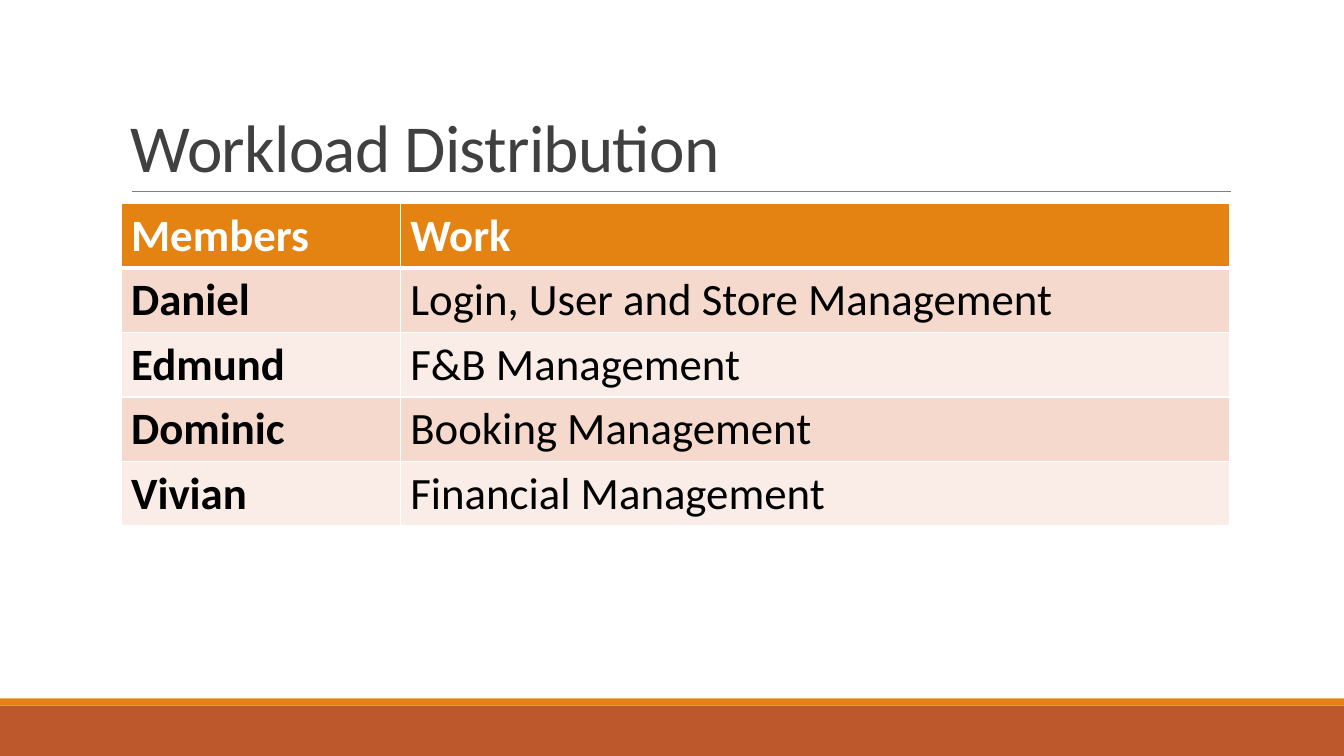
from lxml import etree
from pptx import Presentation
from pptx.dml.color import RGBColor
from pptx.enum.shapes import MSO_CONNECTOR, MSO_SHAPE
from pptx.enum.text import MSO_ANCHOR
from pptx.oxml.ns import qn
from pptx.util import Inches, Pt

TITLE = "Workload Distribution"
ROWS = [
    ("Members", "Work"),
    ("Daniel", "Login, User and Store Management"),
    ("Edmund", "F&B Management"),
    ("Dominic", "Booking Management"),
    ("Vivian", "Financial Management"),
]

WHITE = RGBColor(0xFF, 0xFF, 0xFF)
BLACK = RGBColor(0x00, 0x00, 0x00)
DARK_GREY = RGBColor(0x40, 0x40, 0x40)
RULE_GREY = RGBColor(0x80, 0x80, 0x80)
ORANGE = RGBColor(0xE4, 0x83, 0x12)
RUST = RGBColor(0xBD, 0x58, 0x2C)
BAND_FILLS = (RGBColor(0xFA, 0xED, 0xE7), RGBColor(0xF5, 0xD9, 0xCC))

RECTANGLE = MSO_SHAPE.RECTANGLE
STRAIGHT = MSO_CONNECTOR.STRAIGHT
BOTTOM = MSO_ANCHOR.BOTTOM

PAGE_WIDTH, PAGE_HEIGHT = 13.33, 7.5
LEFT, CONTENT_WIDTH = 1.2, 11
RULE_LEFT, RULE_RIGHT, RULE_TOP = 1.31, 12.21, 1.9
TITLE_TOP = 0.31
TABLE_TOP, ROW_HEIGHT = 2.02, 0.64
COLUMN_WIDTHS = (2.77, 8.23)
FOOTER_BANDS = [(0.5, 0, RUST), (0.07, 0.5, ORANGE)]  # height, gap below, colour


def write(para, text, **formats):
    span = para.add_run()
    span.text = text
    span.font.name = "Calibri"
    span.font.color.rgb = formats.pop("color")
    for name, value in formats.items():
        setattr(span.font, name, value)
    return span


def add_footer(page):
    for height, gap, color in FOOTER_BANDS:
        band = page.shapes.add_shape(
            RECTANGLE, 0, Inches(PAGE_HEIGHT - gap - height),
            Inches(PAGE_WIDTH), Inches(height))
        band.shadow.inherit = False
        band.fill.solid()
        band.fill.fore_color.rgb = color
        band.line.fill.background()


def add_title(page):
    rule = page.shapes.add_connector(
        STRAIGHT, Inches(RULE_LEFT), Inches(RULE_TOP), Inches(RULE_RIGHT), Inches(RULE_TOP))
    rule.line.color.rgb = RULE_GREY
    rule.line.width = Pt(0.5)
    etree.SubElement(rule._element.spPr, qn("a:effectLst"))

    box = page.shapes.add_textbox(
        Inches(LEFT), Inches(TITLE_TOP), Inches(CONTENT_WIDTH), Inches(RULE_TOP - TITLE_TOP))
    box.text_frame.word_wrap = True
    box.text_frame.vertical_anchor = BOTTOM
    para = box.text_frame.paragraphs[0]
    para.line_spacing = 0.85
    span = write(para, TITLE, size=Pt(48), color=DARK_GREY)
    span._r.get_or_add_rPr().set("spc", "-50")


def add_borders(cell, top, bottom):
    """Draw white cell edges, with the top and bottom widths in points."""
    properties = cell._tc.get_or_add_tcPr()
    for side, width in {"L": 1, "R": 1, "T": top, "B": bottom}.items():
        edge = etree.SubElement(properties, qn("a:ln" + side), w=str(Pt(width)))
        fill = etree.SubElement(edge, qn("a:solidFill"))
        etree.SubElement(fill, qn("a:srgbClr"), val=str(WHITE))


def add_workload_table(page):
    table = page.shapes.add_table(
        len(ROWS), len(COLUMN_WIDTHS), Inches(LEFT), Inches(TABLE_TOP),
        Inches(CONTENT_WIDTH), Inches(ROW_HEIGHT * len(ROWS))).table
    for column, width in zip(table.columns, COLUMN_WIDTHS):
        column.width = Inches(width)
    for r, row in enumerate(ROWS):
        header = r == 0
        for c, text in enumerate(row):
            cell = table.cell(r, c)
            add_borders(cell, top=3 if r == 1 else 1, bottom=3 if header else 1)
            cell.fill.solid()
            cell.fill.fore_color.rgb = ORANGE if header else BAND_FILLS[r % 2]
            write(cell.text_frame.paragraphs[0], text, size=Pt(32),
                  bold=header or c == 0, color=WHITE if header else BLACK)


def main():
    deck = Presentation()
    deck.slide_width = Inches(PAGE_WIDTH)
    deck.slide_height = Inches(PAGE_HEIGHT)
    page = deck.slides.add_slide(deck.slide_layouts[6])
    add_footer(page)
    add_title(page)
    add_workload_table(page)
    deck.save("out.pptx")


if __name__ == "__main__":
    main()
